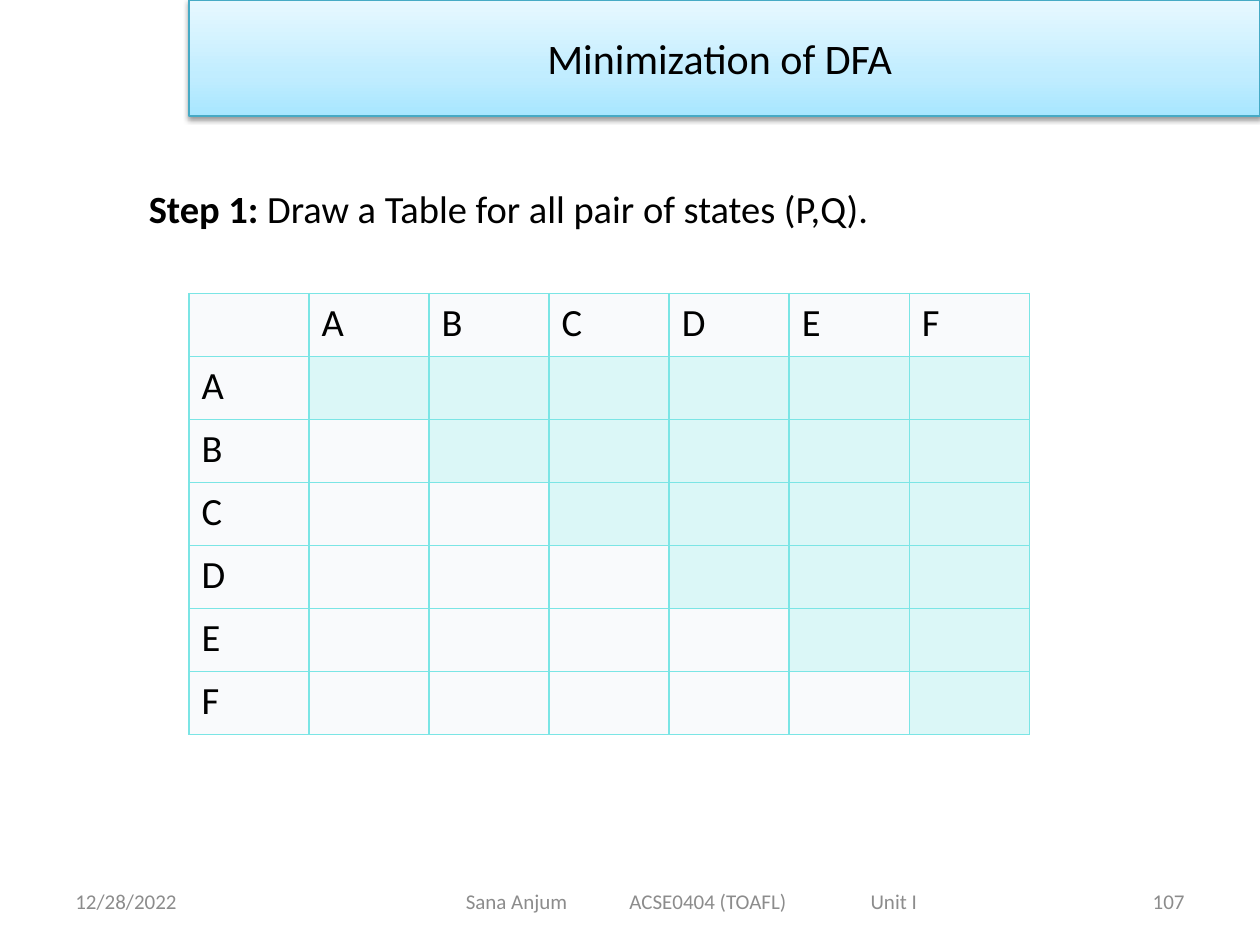
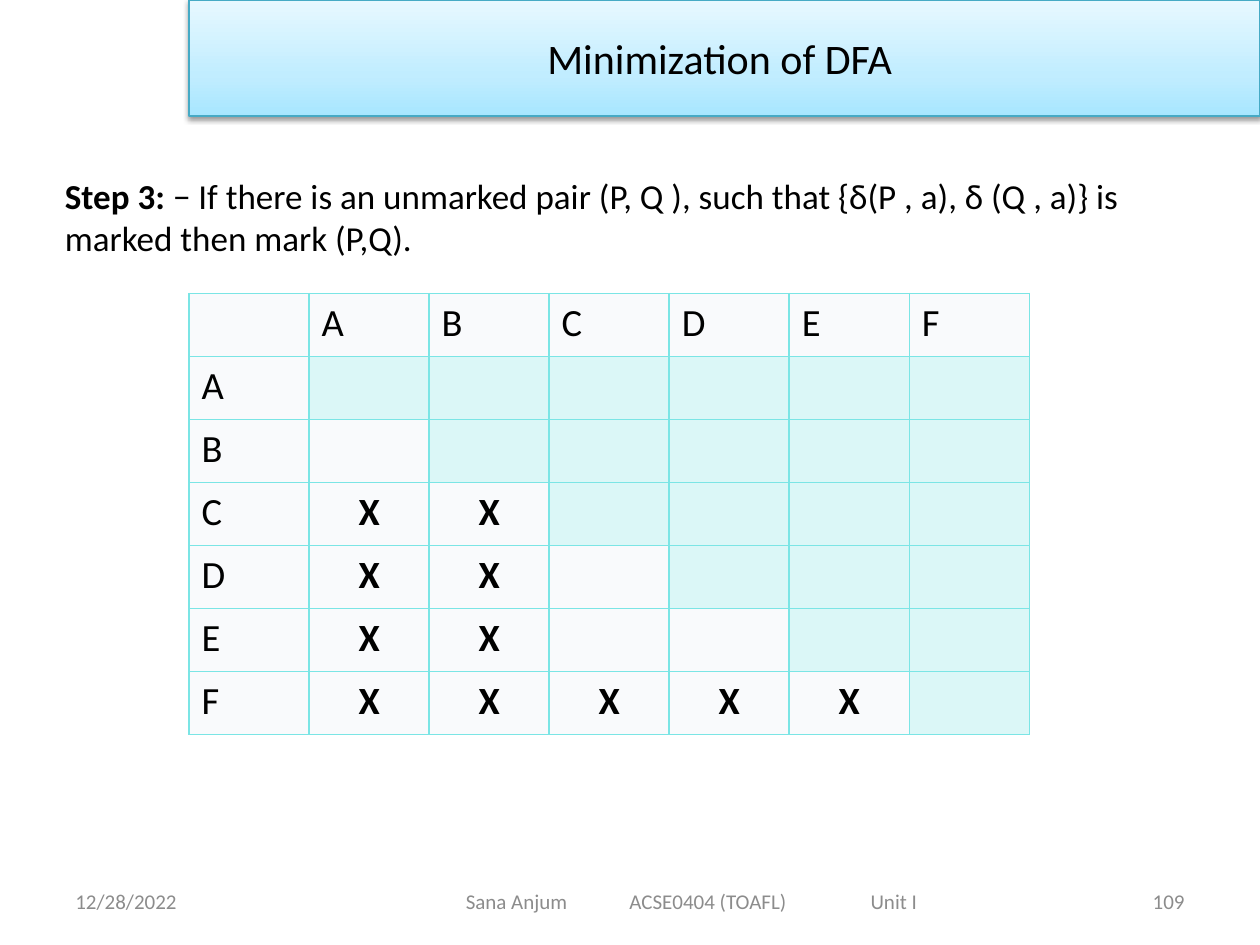
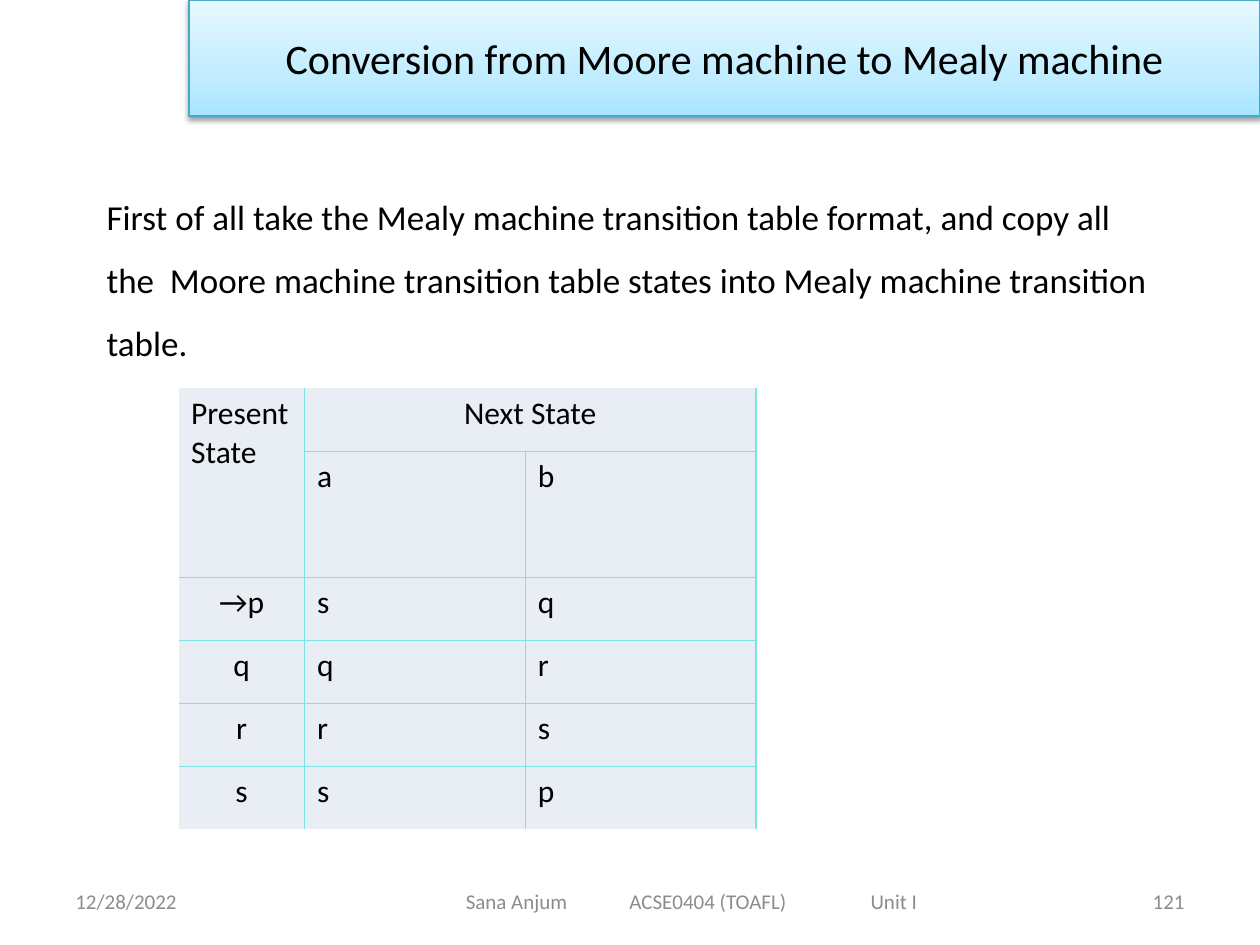
from lxml import etree
from pptx import Presentation, util as u
from pptx.dml.color import RGBColor
from pptx.enum import shapes, text
from pptx.oxml import parse_xml
from pptx.oxml.ns import qn

Cm, Pt = u.Cm, u.Pt
NS = 'xmlns:a="http://schemas.openxmlformats.org/drawingml/2006/main"'
FONT = "Calibri"
COLORS = {"text": "000000", "footer": "8C8C8C", "band_line": "46AAC5",
          "grid": "7BE5E5", "cell": "E9EDF4", "shadow": "000000"}
BAND_STOPS = [(0, "A7E6FF"), (35, "C1EDFF"), (100, "E7F8FF")]
LEFT, CENTER, RIGHT = text.PP_ALIGN.LEFT, text.PP_ALIGN.CENTER, text.PP_ALIGN.RIGHT

# Content
DATE = "12/28/2022"
FOOTER = "Sana Anjum\tACSE0404 (TOAFL)\tUnit I"
FOOTER_TABS = (3.3, 8.16)
STATES = "ABCDEF"
MARKED = {"C": "AB", "D": "AB", "E": "AB", "F": "ABCDE"}
MEALY_ROWS = [
    ["Present State", "Next State", ""],
    ["", "a", "b"],
    ["→p", "s", "q"],
    ["q", "q", "r"],
    ["r", "r", "s"],
    ["s", "s", "p"],
]
MEALY_COLS = (2.54, 4.45, 4.65)
MEALY_HEIGHTS = (1.27, 2.54, 1.27, 1.27, 1.27, 1.27)
SLIDES = [
    {"title": "Minimization of DFA ", "number": "107",
     "body": [("Step 1: ", True), ("Draw a Table for all pair of states (P,Q).", False)],
     "box": (2.75, 3.6, 15.5, 1.2), "size": 22, "marks": {}},
    {"title": "Minimization of DFA ", "number": "109",
     "body": [("Step 3: ", True),
              ("− If there is an unmarked pair (P, Q ), such that "
               "{δ(P , a), δ (Q , a)} is marked then mark (P,Q).", False)],
     "box": (1.06, 3.39, 23.7, 1.96), "size": 20, "marks": MARKED},
    {"title": "Conversion from Moore machine to Mealy machine", "number": "121",
     "body": [("First of all take the Mealy machine transition table format, and copy all "
               "the  Moore machine transition table states into Mealy machine transition "
               "table.", False)],
     "box": (1.9, 3.39, 21.8, 4.11), "size": 20, "spacing": 1.5},
]


def write(tf, runs, size=18, color="text", align=LEFT, bold=False, spacing=None, tabs=()):
    """Fill the first paragraph with a string or with (text, bold) runs."""
    p = tf.paragraphs[0]
    if tabs:
        tab_list = etree.SubElement(p._p.get_or_add_pPr(), qn("a:tabLst"))
        for pos in tabs:
            etree.SubElement(tab_list, qn("a:tab"), pos=str(Cm(pos)), algn="l")
    p.alignment = align
    if spacing:
        p.line_spacing = spacing
    for content, is_bold in [(runs, bold)] if isinstance(runs, str) else runs:
        r = p.add_run()
        r.text = content
        r.font.name, r.font.size, r.font.bold = FONT, Pt(size), is_bold
        r.font.color.rgb = RGBColor.from_string(COLORS[color])


def add_text(slide, box, runs, anchor=text.MSO_ANCHOR.TOP, margin=0.25, **fmt):
    tf = slide.shapes.add_textbox(*map(Cm, box)).text_frame
    tf.word_wrap = True
    tf.vertical_anchor = anchor
    tf.margin_left = Cm(margin)
    write(tf, runs, **fmt)


def add_band(slide, title):
    s = slide.shapes.add_shape(shapes.MSO_SHAPE.RECTANGLE, Cm(3.81), 0, Cm(21.59), Cm(2.34))
    s.line.color.rgb = RGBColor.from_string(COLORS["band_line"])
    s.line.width = Pt(0.75)
    stops = "".join(f'<a:gs pos="{pos * 1000}"><a:srgbClr val="{color}"/></a:gs>'
                    for pos, color in BAND_STOPS)
    ln = s._element.spPr.find(qn("a:ln"))
    ln.addprevious(parse_xml(f'<a:gradFill {NS}><a:gsLst>{stops}</a:gsLst>'
                             '<a:lin ang="16200000" scaled="0"/></a:gradFill>'))
    ln.addnext(parse_xml(
        f'<a:effectLst {NS}><a:outerShdw blurRad="40000" dist="20000" dir="5400000" '
        f'rotWithShape="0"><a:srgbClr val="{COLORS["shadow"]}"><a:alpha val="38000"/>'
        '</a:srgbClr></a:outerShdw></a:effectLst>'))
    s.text_frame.vertical_anchor = text.MSO_ANCHOR.MIDDLE
    write(s.text_frame, title, size=24, align=CENTER)


def add_footer(slide, number):
    fmt = {"size": 12, "color": "footer", "anchor": text.MSO_ANCHOR.MIDDLE}
    add_text(slide, (1.27, 17.65, 5.92, 1.02), DATE, **fmt)
    add_text(slide, (18.21, 17.65, 5.92, 1.02), number, align=RIGHT, **fmt)
    add_text(slide, (6.98, 17.65, 13.97, 1.02), FOOTER, margin=2.41, tabs=FOOTER_TABS, **fmt)


def add_grid(slide, left, top, widths, heights):
    tbl = slide.shapes.add_table(len(heights), len(widths), Cm(left), Cm(top),
                                 Cm(sum(widths)), Cm(sum(heights))).table
    tbl.first_row = tbl.horz_banding = False
    for column, width in zip(tbl.columns, widths):
        column.width = Cm(width)
    for row, height in zip(tbl.rows, heights):
        row.height = Cm(height)
    return tbl


def style_cell(cell, color, sides="LRTB", opacity=None):
    cell.fill.solid()
    cell.fill.fore_color.rgb = RGBColor.from_string(COLORS[color])
    tc_pr = cell._tc.get_or_add_tcPr()
    if opacity:
        rgb = tc_pr.find(qn("a:solidFill")).find(qn("a:srgbClr"))
        etree.SubElement(rgb, qn("a:alpha"), val=str(opacity * 1000))
    for i, side in enumerate("LRTB"):
        paint = (f'<a:solidFill><a:srgbClr val="{COLORS["grid"]}"/></a:solidFill>'
                 if side in sides else "<a:noFill/>")
        tc_pr.insert(i, parse_xml(f'<a:ln{side} {NS} w="12700">{paint}</a:ln{side}>'))


def add_pair_table(slide, marks):
    n = len(STATES) + 1
    tbl = add_grid(slide, 3.81, 5.92, [2.42] * n, [1.27] * n)
    for r in range(n):
        for c in range(n):
            cell = tbl.cell(r, c)
            unused = 0 < r <= c
            style_cell(cell, "grid" if unused else "cell", opacity=27)
            if (r == 0) != (c == 0):
                write(cell.text_frame, STATES[r + c - 1], size=22)
            elif r and c and STATES[c - 1] in marks.get(STATES[r - 1], ""):
                write(cell.text_frame, "X", size=22, bold=True, align=CENTER)


def add_mealy_table(slide):
    tbl = add_grid(slide, 3.6, 7.83, MEALY_COLS, MEALY_HEIGHTS)
    tbl.cell(0, 0).merge(tbl.cell(1, 0))
    tbl.cell(0, 1).merge(tbl.cell(0, 2))
    last = len(MEALY_ROWS) - 1
    for r, row in enumerate(MEALY_ROWS):
        for c, label in enumerate(row):
            cell = tbl.cell(r, c)
            # The left, top and bottom edges of the table stay open
            sides = "R" + ("B" if r < last else "")
            if not cell.is_spanned:
                sides += ("L" if c else "") + ("T" if r else "")
            style_cell(cell, "cell", sides)
            if label:
                centered = (r, c) == (0, 1) or (c == 0 and r > 1)
                write(cell.text_frame, label, align=CENTER if centered else LEFT)


def main():
    prs = Presentation()
    prs.slide_width, prs.slide_height = Cm(25.4), Cm(19.05)
    for item in SLIDES:
        slide = prs.slides.add_slide(prs.slide_layouts[6])
        add_band(slide, item["title"])
        add_footer(slide, item["number"])
        add_text(slide, item["box"], item["body"], size=item["size"],
                 spacing=item.get("spacing"))
        if "marks" in item:
            add_pair_table(slide, item["marks"])
        else:
            add_mealy_table(slide)
    prs.save("out.pptx")


if __name__ == "__main__":
    main()
